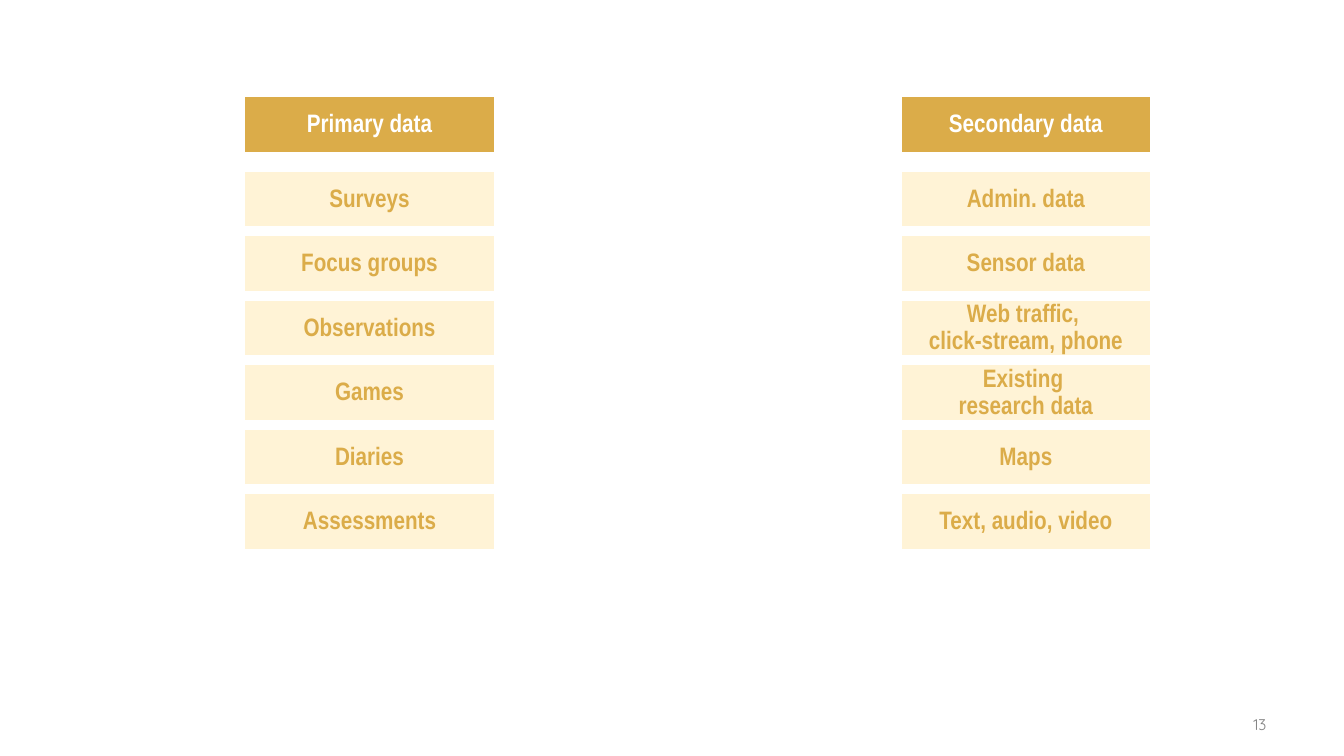
from pptx import Presentation
from pptx.dml.color import RGBColor
from pptx.enum.shapes import MSO_SHAPE as Shape
from pptx.enum.text import MSO_ANCHOR as Anchor, PP_ALIGN as Align
from pptx.util import Inches, Pt

GOLD = RGBColor(0xDB, 0xAC, 0x49)
CREAM = RGBColor(0xFF, 0xF3, 0xD6)
WHITE = RGBColor(0xFF, 0xFF, 0xFF)
GRAY = RGBColor(0x7F, 0x7F, 0x7F)

BOX_WIDTH, BOX_HEIGHT = 2.49, 0.57
HEADER_TOP, FIRST_ITEM_TOP, ITEM_STEP = 0.95, 1.69, 0.64

# Left edge, heading and items of each column
COLUMNS = [
    (2.42, "Primary data",
     ["Surveys", "Focus groups", "Observations", "Games", "Diaries", "Assessments"]),
    (8.93, "Secondary data",
     ["Admin. data", "Sensor data", "Web traffic, \vclick-stream, phone",
      "Existing \vresearch data", "Maps", "Text, audio, video"]),
]

deck = Presentation()
deck.slide_width, deck.slide_height = Inches(13.33), Inches(7.5)
page = deck.slides.add_slide(deck.slide_layouts[6])


def add_box(left, top, text, fill, color):
    box = page.shapes.add_shape(Shape.RECTANGLE, Inches(left), Inches(top),
                                Inches(BOX_WIDTH), Inches(BOX_HEIGHT))
    box.shadow.inherit = False
    box.fill.solid()
    box.fill.fore_color.rgb = fill
    box.line.color.rgb = WHITE
    box.line.width = Pt(2)
    frame = box.text_frame
    frame.word_wrap = True
    frame.vertical_anchor = Anchor.MIDDLE
    frame.margin_left = frame.margin_right = Inches(0.12)
    frame.margin_top = frame.margin_bottom = Inches(0.12)
    para = frame.paragraphs[0]
    para.text = text
    para.alignment = Align.CENTER
    para.line_spacing = 0.9
    para.font.name = "Arial Narrow"
    para.font.size = Pt(18)
    para.font.bold = True
    para.font.color.rgb = color


# Columns of data sources
for left, heading, items in COLUMNS:
    add_box(left, HEADER_TOP, heading, GOLD, WHITE)
    for row, item in enumerate(items):
        add_box(left, FIRST_ITEM_TOP + row * ITEM_STEP, item, CREAM, GOLD)

# Page number
number_box = page.shapes.add_textbox(Inches(11.42), Inches(7.05), Inches(1.24), Inches(0.24))
number_box.text_frame.word_wrap = True
para = number_box.text_frame.paragraphs[0]
para.text = "13"
para.alignment = Align.RIGHT
para.font.name = "Quicksand"
para.font.size = Pt(11)
para.font.color.rgb = GRAY

deck.save("out.pptx")
